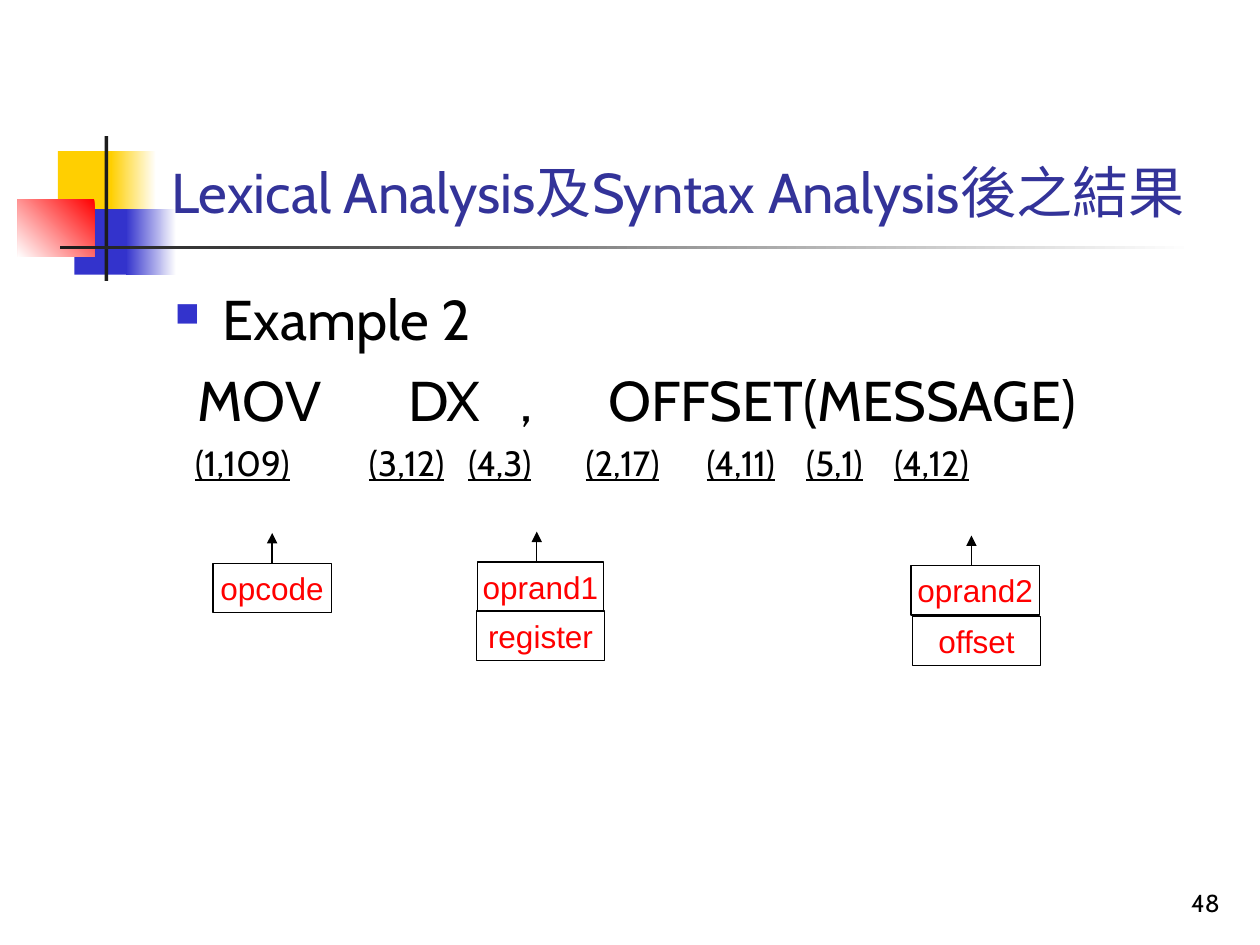
from pptx import Presentation
from pptx.dml.color import RGBColor
from pptx.enum.shapes import MSO_CONNECTOR, MSO_SHAPE
from pptx.enum.text import MSO_ANCHOR, MSO_AUTO_SIZE, PP_ALIGN
from pptx.oxml.ns import qn
from pptx.util import Inches, Pt
from lxml import etree

RECTANGLE = MSO_SHAPE.RECTANGLE
STRAIGHT = MSO_CONNECTOR.STRAIGHT
BOTTOM, MIDDLE = MSO_ANCHOR.BOTTOM, MSO_ANCHOR.MIDDLE
LEFT, CENTER, RIGHT = PP_ALIGN.LEFT, PP_ALIGN.CENTER, PP_ALIGN.RIGHT
COLORS = {
    "white": "FFFFFF", "black": "000000", "dark": "1C1C1C", "yellow": "FFCF01",
    "blue": "3333CC", "title": "333399", "red": "FF0000",
}

deck = Presentation()
deck.slide_width, deck.slide_height = Inches(10), Inches(7.5)
column, row = deck.slide_width / 100, deck.slide_height / 75
page = deck.slides.add_slide(deck.slide_layouts[5])
shapes = page.shapes


def grid(left, top, width, height):
    return [int(n * unit) for n, unit in zip((left, top, width, height), (column, row) * 2)]


def add_span(para, text, size, color, font="Cabin", underline=None):
    span = para.add_run()
    span.text = text
    span.font.name, span.font.size = font, Pt(size)
    span.font.color.rgb = RGBColor.from_string(COLORS[color])
    span.font.underline = underline


decorations = [
    ((4.6, 12, 4.8, 5.2), ["yellow"], 0),
    ((8.8, 12, 3.6, 5.2), ["white", "yellow"], 180),
    ((5.9, 16.6, 4.6, 5.2), ["blue"], 0),
    ((10, 16.6, 4, 5.2), ["white", "blue"], 180),
    ((1.4, 15.8, 6.1, 4.6), ["red", "white"], 225),
    ((8.3, 10.8, 0.3, 11.5), ["dark"], 0),
    ((4.8, 19.5, 90, 0.3), ["white", "dark"], 180),
]
for area, tones, angle in decorations:
    block = shapes.add_shape(RECTANGLE, *grid(*area))
    block.shadow.inherit = False
    block.line.fill.background()
    if len(tones) == 1:
        block.fill.solid()
        block.fill.fore_color.rgb = RGBColor.from_string(COLORS[tones[0]])
    else:
        block.fill.gradient()
        block.fill.gradient_angle = angle
        for stop, tone in zip(block.fill.gradient_stops, tones):
            stop.color.rgb = RGBColor.from_string(COLORS[tone])

title = shapes.title
title.left, title.top, title.width, title.height = grid(12.6, 2.3, 85.2, 16)
shapes._spTree.append(title._element)
title.text_frame.vertical_anchor = BOTTOM
title.text_frame.auto_size = MSO_AUTO_SIZE.NONE
title_para = title.text_frame.paragraphs[0]
title_para.alignment = LEFT
add_span(title_para, "Lexical Analysis及Syntax Analysis後之結果", 32, "title")

body = shapes.add_textbox(*grid(12.9, 22.1, 85, 45)).text_frame
body.word_wrap = True
heading = body.paragraphs[0]
heading.space_before = Pt(8)
heading_format = heading._p.get_or_add_pPr()
heading_format.set("marL", str(Inches(0.38)))
heading_format.set("indent", str(-Inches(0.38)))
bullet_color = etree.SubElement(heading_format, qn("a:buClr"))
etree.SubElement(bullet_color, qn("a:srgbClr"), val=COLORS["blue"])
etree.SubElement(heading_format, qn("a:buSzPct"), val="60000")
etree.SubElement(heading_format, qn("a:buChar"), char="■")
add_span(heading, "Example 2", 32, "black")

code_lines = [
    (32, 8, [1.8, 18.5, 27.4, 34.4],
     [("\tMOV\tDX\t,\tOFFSET(MESSAGE)", False)]),
    (20, 5, [1.6, 15.4, 23.3, 32.6, 42.2, 50.1, 57.1],
     [("\t", False), ("(1,109)", True), ("\t", False), ("(3,12)\t(4,3)", True),
      ("\t", False), ("(2,17)\t(4,11)\t(5,1)\t(4,12)", True)]),
]
for size, space, stops, spans in code_lines:
    para = body.add_paragraph()
    para.space_before = Pt(space)
    para_format = para._p.get_or_add_pPr()
    etree.SubElement(para_format, qn("a:buNone"))
    tab_list = etree.SubElement(para_format, qn("a:tabLst"))
    for stop in stops:
        etree.SubElement(tab_list, qn("a:tab"), pos=str(int(stop * column)), algn="l")
    for text, underline in spans:
        add_span(para, text, size, "black", underline=underline)

labels = [
    ("opcode", 16.9, 44.7, 9.4), ("oprand1", 37.9, 44.6, 10), ("oprand2", 72.3, 44.9, 10.2),
    ("register", 37.8, 48.5, 10.2), ("offset", 72.4, 48.9, 10.2),
]
for text, left, top, width in labels:
    box = shapes.add_shape(RECTANGLE, *grid(left, top, width, 3.9))
    box.shadow.inherit = False
    box.fill.solid()
    box.fill.fore_color.rgb = RGBColor.from_string(COLORS["white"])
    box.line.color.rgb = RGBColor.from_string(COLORS["black"])
    box.line.width = Pt(0.75)
    box.text_frame.word_wrap = False
    box.text_frame.vertical_anchor = MIDDLE
    para = box.text_frame.paragraphs[0]
    para.alignment = CENTER
    add_span(para, text, 18, "red", "Arial")

for center, bottom in [(21.6, 44.7), (42.6, 44.6), (77.1, 44.9)]:
    arrow = shapes.add_connector(STRAIGHT, *grid(center, bottom, center, bottom - 2.4))
    arrow.line.color.rgb = RGBColor.from_string(COLORS["black"])
    arrow.line.width = Pt(0.75)
    etree.SubElement(arrow.line._get_or_add_ln(), qn("a:tailEnd"), type="triangle")
    etree.SubElement(arrow._element.spPr, qn("a:effectLst"))

number = shapes.add_textbox(*grid(77, 68.3, 20.8, 5)).text_frame
number.word_wrap = True
number.vertical_anchor = BOTTOM
number.paragraphs[0].alignment = RIGHT
add_span(number.paragraphs[0], "48", 14, "black")

deck.save("out.pptx")
